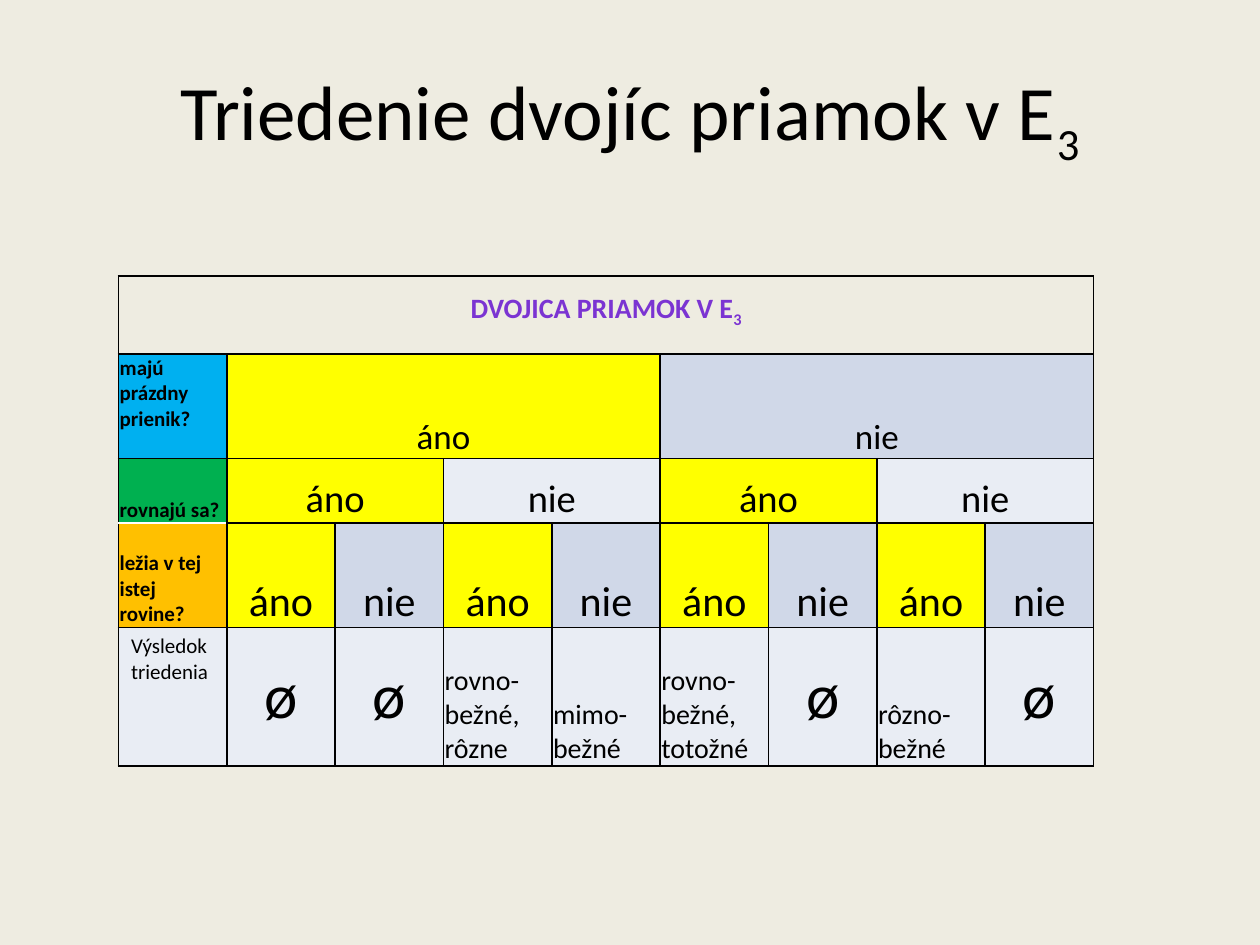
"""Build a slide with a table that classifies pairs of lines in three-dimensional space."""
from lxml.etree import SubElement
from pptx import Presentation
from pptx.dml.color import RGBColor
from pptx.enum.text import MSO_ANCHOR as Anchor, PP_ALIGN as Align
from pptx.oxml.ns import qn
from pptx.util import Inches, Pt

BLACK = RGBColor(0x00, 0x00, 0x00)
WHITE = RGBColor(0xFF, 0xFF, 0xFF)
CREAM = RGBColor(0xEE, 0xEC, 0xE1)
PURPLE = RGBColor(0x7B, 0x34, 0xD2)
BLUE = RGBColor(0x00, 0xB0, 0xF0)
GREEN = RGBColor(0x00, 0xB0, 0x50)
ORANGE = RGBColor(0xFF, 0xC0, 0x00)
YELLOW = RGBColor(0xFF, 0xFF, 0x00)
MIST = RGBColor(0xD0, 0xD8, 0xE8)
PALE = RGBColor(0xE9, 0xED, 0xF4)


def write(frame, text, size, color=BLACK, bold=False, align=Align.LEFT,
          anchor=Anchor.BOTTOM, margins=(0.01, 0.01, 0.01, 0), subscript=""):
    frame.word_wrap = True
    frame.vertical_anchor = anchor
    (frame.margin_left, frame.margin_top,
     frame.margin_right, frame.margin_bottom) = map(Inches, margins)
    paragraph = frame.paragraphs[0]
    paragraph.alignment = align
    for part, baseline in ((text, 0), (subscript, -25000)):
        if part:
            run = paragraph.add_run()
            run.text = part
            font = run.font
            font.name, font.size, font.bold = "Calibri", Pt(size), bold
            font.color.rgb = color
            if baseline:
                font._element.set("baseline", str(baseline))


def outline(cell, top=BLACK, bottom=BLACK):
    sides = (("a:lnL", BLACK), ("a:lnR", BLACK), ("a:lnT", top), ("a:lnB", bottom))
    for side, color in sides:
        line = SubElement(cell._tc.get_or_add_tcPr(), qn(side), w=str(Pt(1)))
        SubElement(SubElement(line, qn("a:solidFill")), qn("a:srgbClr"), val=str(color))


deck = Presentation()
deck.slide_width, deck.slide_height = Inches(10), Inches(7.5)
width, height = deck.slide_width, deck.slide_height
slide = deck.slides.add_slide(deck.slide_layouts[6])
slide.background.fill.solid()
slide.background.fill.fore_color.rgb = CREAM

title = slide.shapes.add_textbox(int(width * 0.05), int(height * 0.04),
                                 int(width * 0.9), Inches(1.25))
write(title.text_frame, "Triedenie dvojíc priamok v E", 44, align=Align.CENTER,
      anchor=Anchor.MIDDLE, margins=(0.1, 0.05, 0.1, 0.05), subscript="3")

row_heights = [Inches(inches) for inches in (0.62, 0.83, 0.51, 0.83, 1.1)]
column_width = int(width * 0.086)
sorting = slide.shapes.add_table(5, 9, Inches(0.94), Inches(2.19),
                                 9 * column_width, sum(row_heights)).table
sorting.first_row = sorting.horz_banding = False
for column in sorting.columns:
    column.width = column_width
for row, row_height in zip(sorting.rows, row_heights):
    row.height = row_height

for row in range(5):
    for column in range(9):
        top = WHITE if (row, column) == (3, 0) else BLACK
        bottom = WHITE if (row, column) == (2, 0) else BLACK
        outline(sorting.cell(row, column), top, bottom)

heading = sorting.cell(0, 0)
heading.merge(sorting.cell(0, 8))
heading.fill.background()
write(heading.text_frame, "DVOJICA PRIAMOK V E", 16, PURPLE, True, Align.CENTER,
      margins=(0.01, 0.01, 0.01, 0.19), subscript="3")
heading.vertical_anchor = Anchor.BOTTOM
heading.margin_left = heading.margin_top = heading.margin_right = Inches(0.01)
heading.margin_bottom = Inches(0.19)

entries = []
questions = (
    ("majú prázdny prienik?", BLUE, Anchor.TOP, 20, 4, MIST),
    ("rovnajú sa?", GREEN, Anchor.BOTTOM, 22, 2, PALE),
    ("ležia v tej istej rovine?", ORANGE, Anchor.BOTTOM, 24, 1, MIST),
)
for row, (question, color, anchor, size, span, no_color) in enumerate(questions, 1):
    entries.append((row, 0, 1, question, color, 12, True, Align.LEFT, anchor))
    for index in range(8 // span):
        answer, fill = (("áno", YELLOW), ("nie", no_color))[index % 2]
        entries.append((row, 1 + index * span, span, answer, fill, size, False,
                        Align.CENTER, Anchor.BOTTOM))

results = ("ø", "ø", "rovno-bežné, rôzne", "mimo-bežné",
           "rovno-bežné, totožné", "ø", "rôzno-bežné", "ø")
entries.append((4, 0, 1, "Výsledok triedenia", PALE, 12, False, Align.LEFT, Anchor.TOP))
for column, result in enumerate(results, 1):
    style = ((36, False, Align.CENTER, Anchor.MIDDLE) if result == "ø"
             else (16, False, Align.LEFT, Anchor.BOTTOM))
    entries.append((4, column, 1, result, PALE, *style))

for row, column, span, text, fill, size, bold, align, anchor in entries:
    cell = sorting.cell(row, column)
    if span > 1:
        cell.merge(sorting.cell(row, column + span - 1))
    cell.fill.solid()
    cell.fill.fore_color.rgb = fill
    write(cell.text_frame, text, size, bold=bold, align=align)
    cell.vertical_anchor = anchor
    if (row, column) != (4, 0):
        cell.margin_left = cell.margin_top = cell.margin_right = Inches(0.01)
        cell.margin_bottom = 0

deck.save("out.pptx")
